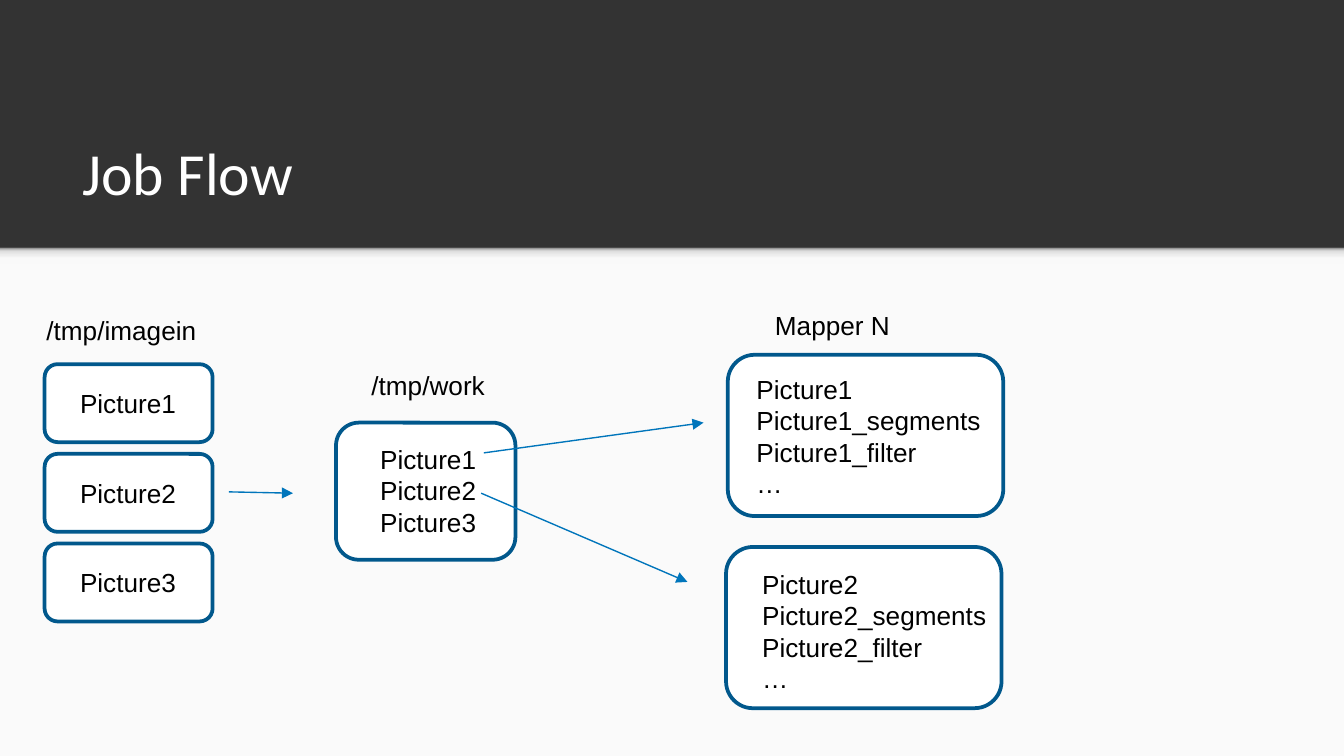
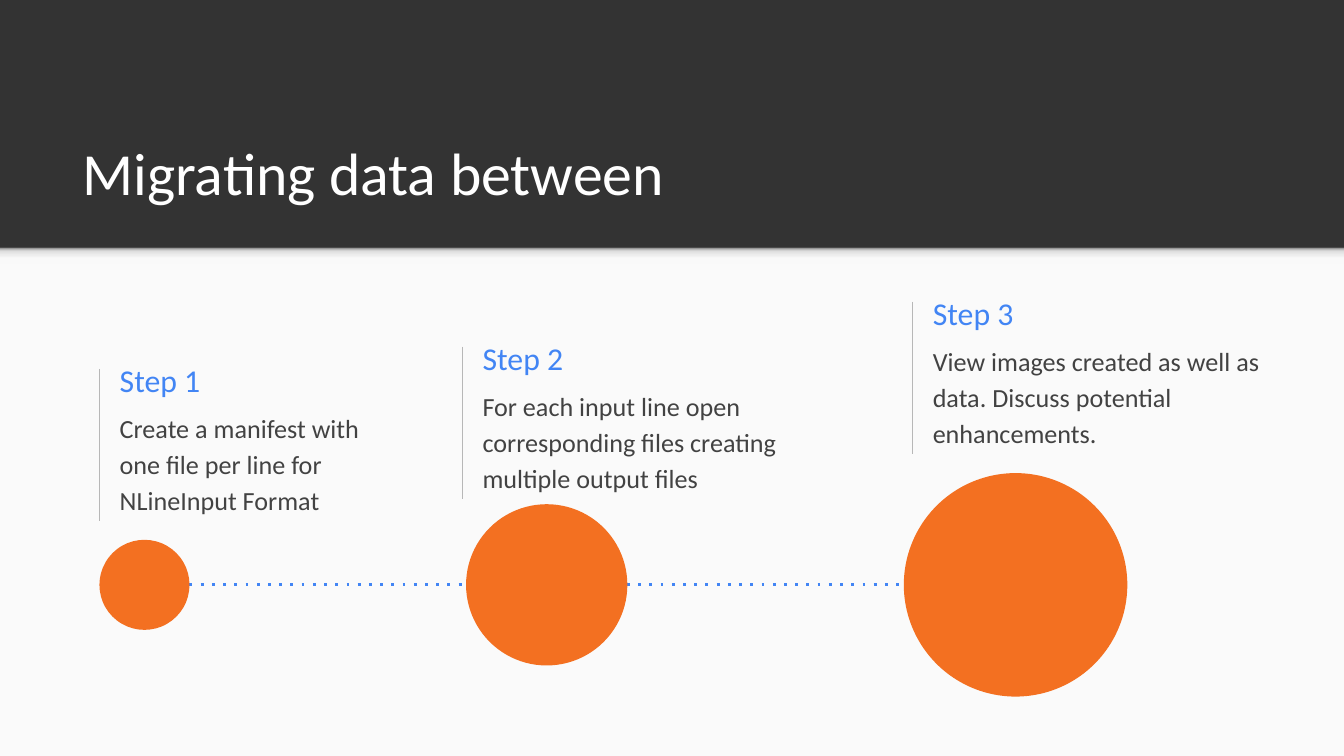
from dataclasses import dataclass
from typing import NamedTuple

from lxml.etree import SubElement
from pptx import Presentation
from pptx.dml.color import RGBColor
from pptx.enum.shapes import MSO_CONNECTOR as Connector, MSO_SHAPE as Preset
from pptx.enum.text import MSO_ANCHOR as Anchor, MSO_AUTO_SIZE as AutoSize
from pptx.oxml.ns import qn
from pptx.util import Inches, Pt

WIDTH = Inches(10)
HEIGHT = WIDTH * 9 // 16
COLUMNS, ROWS = 100, 56.25
COLUMN, ROW = WIDTH / COLUMNS, HEIGHT / ROWS


@dataclass(frozen=True)
class Theme:
    """Colours, fonts and type sizes of the deck."""

    dark: str = "333333"
    page: str = "FAFAFA"
    white: str = "FFFFFF"
    black: str = "000000"
    body: str = "424242"
    outline: str = "01588C"
    arrow: str = "0075BB"
    accent: str = "4285F4"
    rule: str = "B7B7B7"
    circle: str = "F37021"
    shade: tuple = ((0, "F9F9F9"), (36, "F9F9F9"), (80, "DEDEDE"), (100, "999999"))
    heading_font: str = "Calibri"
    label_font: str = "Arial"
    title_size: int = 32
    step_size: int = 17
    text_size: int = 14


class Area(NamedTuple):
    """A rectangle in grid columns and rows."""

    left: float
    top: float
    width: float
    height: float

    def emu(self) -> tuple:
        """Return the rectangle in slide units."""
        return (round(self.left * COLUMN), round(self.top * ROW),
                round(self.width * COLUMN), round(self.height * ROW))


class Folder(NamedTuple):
    """An outlined box with paragraphs of file names."""

    box: Area
    names_area: Area
    names: tuple


class Caption(NamedTuple):
    """A heading above a column of boxes."""

    area: Area
    words: str


class Flow(NamedTuple):
    """An arrow between two grid points."""

    start: tuple
    end: tuple


class Step(NamedTuple):
    """A stage of the migration with its circle."""

    left: float
    top: float
    text_width: float
    words: str
    circle_left: float
    diameter: float


THEME = Theme()
SHEET = Area(0, 18.45, COLUMNS, ROWS - 18.45)
SHADE = Area(0, 18.45, COLUMNS, 1.2)
TITLE = Area(5.15, 8.05, 89.9, 8.4)

INPUT_TOP, INPUT_PITCH = 27.1, 6.67
INPUTS = [
    Folder(Area(3.32, INPUT_TOP + i * INPUT_PITCH, 12.5, 5.8),
           Area(4.97, INPUT_TOP + 1.25 + i * INPUT_PITCH, 9.2, 3.4), (f"Picture{i + 1}",))
    for i in range(3)
]
WORK = Folder(Area(25, 31.45, 13.35, 10.2), Area(27.3, 32.5, 9.2, 8.1),
              ("\n".join(name for folder in INPUTS for name in folder.names),))
MAPPERS = [
    Folder(Area(*box, 20.5, 12), Area(*names, 18.8, 10.4),
           (name, f"{name}_segments\n{name}_filter", "…"))
    for name, box, names in (("Picture1", (54.15, 26.4), (55.3, 27.3)),
                             ("Picture2", (54.02, 40.7), (55.72, 41.8)))
]
CAPTIONS = [
    Caption(Area(2.47, 22.9, 13.2, 3.4), "/tmp/imagein"),
    Caption(Area(26.65, 27, 10.5, 3.4), "/tmp/work"),
    Caption(Area(56.68, 22.55, 10.6, 3.4), "Mapper N"),
]
FLOWS = [
    Flow((17.03, 36.6), (21.8, 36.7)),
    Flow((36, 33.7), (52.35, 31.45)),
    Flow((35.8, 36.7), (51.15, 43.3)),
]

AXIS, RULE_HEIGHT = 43.52, 11.3
STEPS = [
    Step(7.4, 27.45, 22.9, "Create a manifest with one file per line for NLineInput Format",
         7.4, 6.7),
    Step(34.4, 25.8, 26.7, "For each input line open corresponding files creating "
         "multiple output files", 34.68, 12),
    Step(67.9, 22.45, 26.7, "View images created as well as data. Discuss potential "
         "enhancements.", 67.25, 16.63),
]


def add_text(slide, area: Area, *paragraphs: str, size: int, color: str, font: str,
             anchor=Anchor.TOP, wrap: bool = True, inset: float = 0.1,
             line_spacing: float | None = None, space_after: float | None = None) -> None:
    """Write formatted paragraphs, whose newlines are line breaks, in the area."""
    frame = slide.shapes.add_textbox(*area.emu()).text_frame
    frame.word_wrap = wrap
    frame.auto_size = AutoSize.NONE if wrap else AutoSize.SHAPE_TO_FIT_TEXT
    frame.vertical_anchor = anchor
    frame.margin_left = frame.margin_right = Inches(0.1)
    frame.margin_top = frame.margin_bottom = Inches(inset)
    for index, words in enumerate(paragraphs):
        paragraph = frame.add_paragraph() if index else frame.paragraphs[0]
        paragraph.text = words
        if line_spacing:
            paragraph.line_spacing = line_spacing
        if space_after:
            paragraph.space_after = Pt(space_after)
        for run in paragraph.runs:
            run.font.size = Pt(size)
            run.font.name = font
            run.font.color.rgb = RGBColor.from_string(color)
        for line_break in paragraph._p.findall(qn("a:br")):
            SubElement(line_break, qn("a:rPr"), sz=str(size * 100))


def add_panel(slide, preset, area: Area, fill: str, outline: str | None = None):
    """Draw a filled shape, outlined when a colour is given."""
    panel = slide.shapes.add_shape(preset, *area.emu())
    panel.shadow.inherit = False
    panel.fill.solid()
    panel.fill.fore_color.rgb = RGBColor.from_string(fill)
    if outline:
        panel.line.color.rgb = RGBColor.from_string(outline)
        panel.line.width = Pt(2)
    else:
        panel.line.fill.background()
    return panel


def add_line(slide, start: tuple, end: tuple, color: str, width: float = 0.75,
             dash: str | None = None, head: str | None = None) -> None:
    """Draw a straight line between two grid points."""
    ends = [round(value * unit) for point in (start, end)
            for value, unit in zip(point, (COLUMN, ROW))]
    line = slide.shapes.add_connector(Connector.STRAIGHT, *ends)
    line.line.color.rgb = RGBColor.from_string(color)
    line.line.width = Pt(width)
    properties = line._element.spPr
    stroke = properties.find(qn("a:ln"))
    if dash:
        SubElement(stroke, qn("a:prstDash"), val=dash)
    if head:
        SubElement(stroke, qn("a:tailEnd"), type=head)
    SubElement(properties, qn("a:effectLst"))


def shade_upward(panel, stops: tuple) -> None:
    """Fill the panel with a gradient that runs from bottom to top."""
    panel.fill.gradient()
    panel.fill.gradient_angle = 90
    stop_list = panel._element.spPr.find(qn("a:gradFill")).find(qn("a:gsLst"))
    for stop in list(stop_list):
        stop_list.remove(stop)
    for percent, color in stops:
        stop = SubElement(stop_list, qn("a:gs"), pos=str(percent * 1000))
        SubElement(stop, qn("a:srgbClr"), val=color)


def add_titled_slide(deck, title: str):
    """Add a slide with the dark band, the light sheet and a title."""
    slide = deck.slides.add_slide(deck.slide_layouts[6])
    slide.background.fill.solid()
    slide.background.fill.fore_color.rgb = RGBColor.from_string(THEME.dark)
    add_panel(slide, Preset.RECTANGLE, SHEET, THEME.page)
    shade_upward(add_panel(slide, Preset.RECTANGLE, SHADE, THEME.page), THEME.shade)
    add_text(slide, TITLE, title, size=THEME.title_size, color=THEME.white,
             font=THEME.heading_font, anchor=Anchor.BOTTOM)
    return slide


def add_label(slide, area: Area, *paragraphs: str) -> None:
    """Write an unwrapped diagram label."""
    add_text(slide, area, *paragraphs, size=THEME.text_size, color=THEME.black,
             font=THEME.label_font, wrap=False, inset=0.05)


def add_step(slide, number: int, step: Step) -> None:
    """Draw the rule, heading, text and circle of one step."""
    add_line(slide, (step.left, step.top), (step.left, step.top + RULE_HEIGHT), THEME.rule)
    text_left = step.left + 0.52
    add_text(slide, Area(text_left, step.top - 1.35, 19.8, 4.3), f"Step {number}",
             size=THEME.step_size, color=THEME.accent, font=THEME.heading_font,
             anchor=Anchor.MIDDLE)
    add_text(slide, Area(text_left, step.top + 1.87, step.text_width, 6.3), step.words,
             size=THEME.text_size, color=THEME.body, font=THEME.heading_font,
             line_spacing=1.15, space_after=16)
    add_panel(slide, Preset.OVAL, Area(step.circle_left, AXIS - step.diameter / 2,
                                       step.diameter, step.diameter), THEME.circle)


def build_job_flow(deck) -> None:
    """Build the slide that follows pictures from input to mappers."""
    slide = add_titled_slide(deck, "Job Flow")
    for folder in (*INPUTS, WORK, *MAPPERS):
        add_panel(slide, Preset.ROUNDED_RECTANGLE, folder.box, THEME.white, THEME.outline)
        add_label(slide, folder.names_area, *folder.names)
    for caption in CAPTIONS:
        add_label(slide, caption.area, caption.words)
    for flow in FLOWS:
        add_line(slide, flow.start, flow.end, THEME.arrow, head="triangle")


def build_migration(deck) -> None:
    """Build the slide with three growing steps."""
    slide = add_titled_slide(deck, "Migrating data between")
    first, last = STEPS[0], STEPS[-1]
    add_line(slide, (first.circle_left + first.diameter, AXIS), (last.circle_left, AXIS),
             THEME.accent, width=1.5, dash="dot")
    for number, step in enumerate(STEPS, start=1):
        add_step(slide, number, step)


def main() -> None:
    """Build and save the deck."""
    deck = Presentation()
    deck.slide_width, deck.slide_height = WIDTH, HEIGHT
    build_job_flow(deck)
    build_migration(deck)
    deck.save("out.pptx")


if __name__ == "__main__":
    main()
